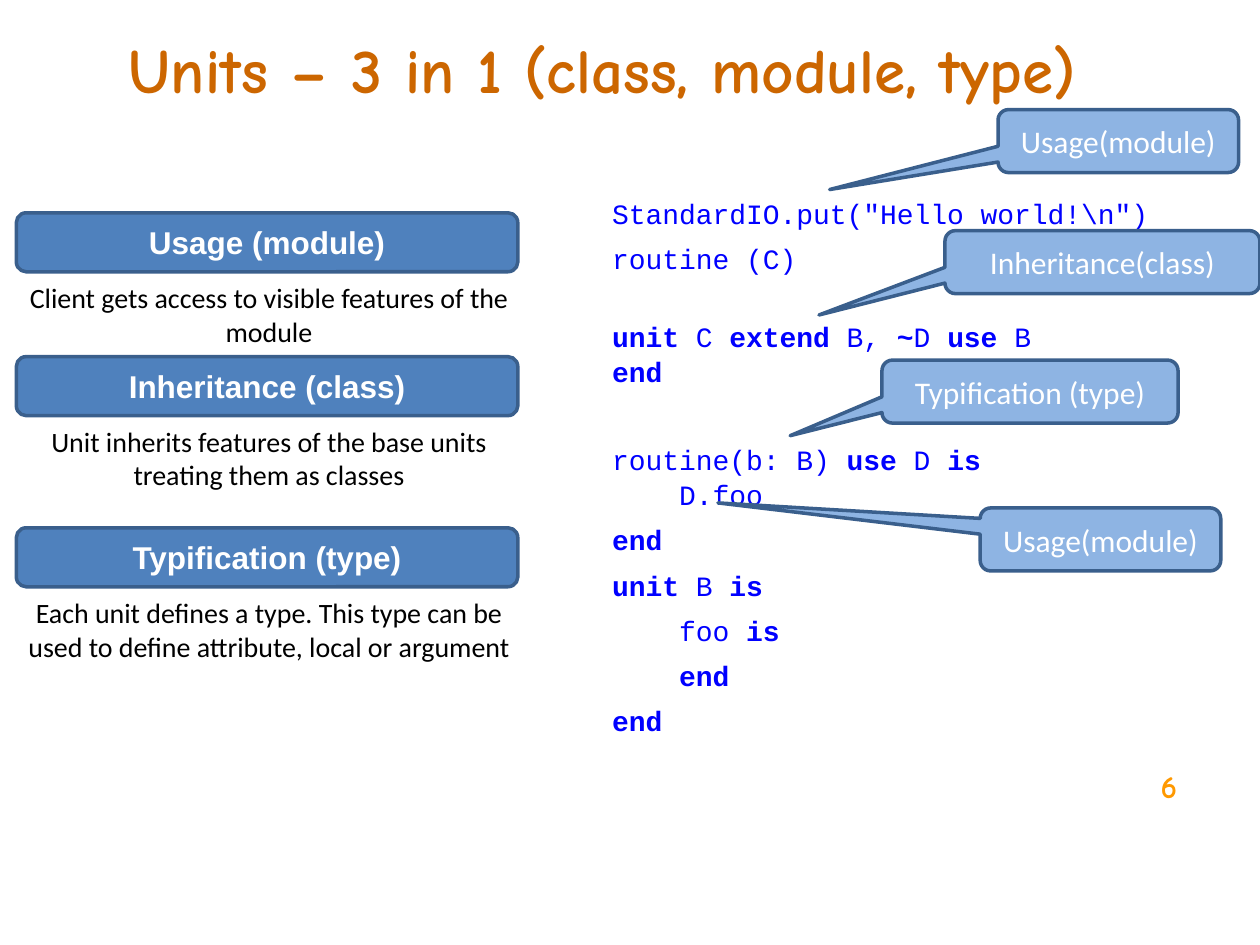
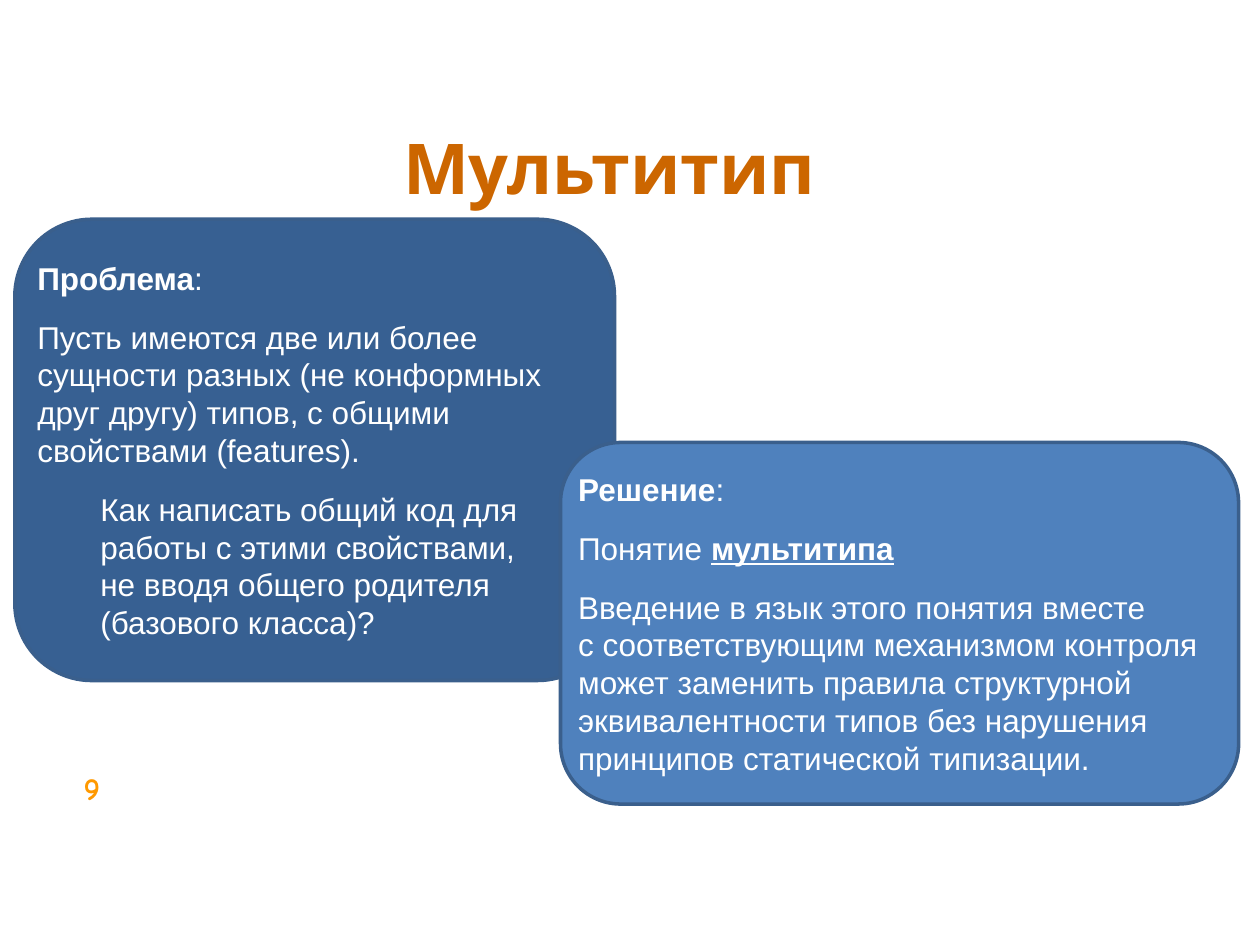
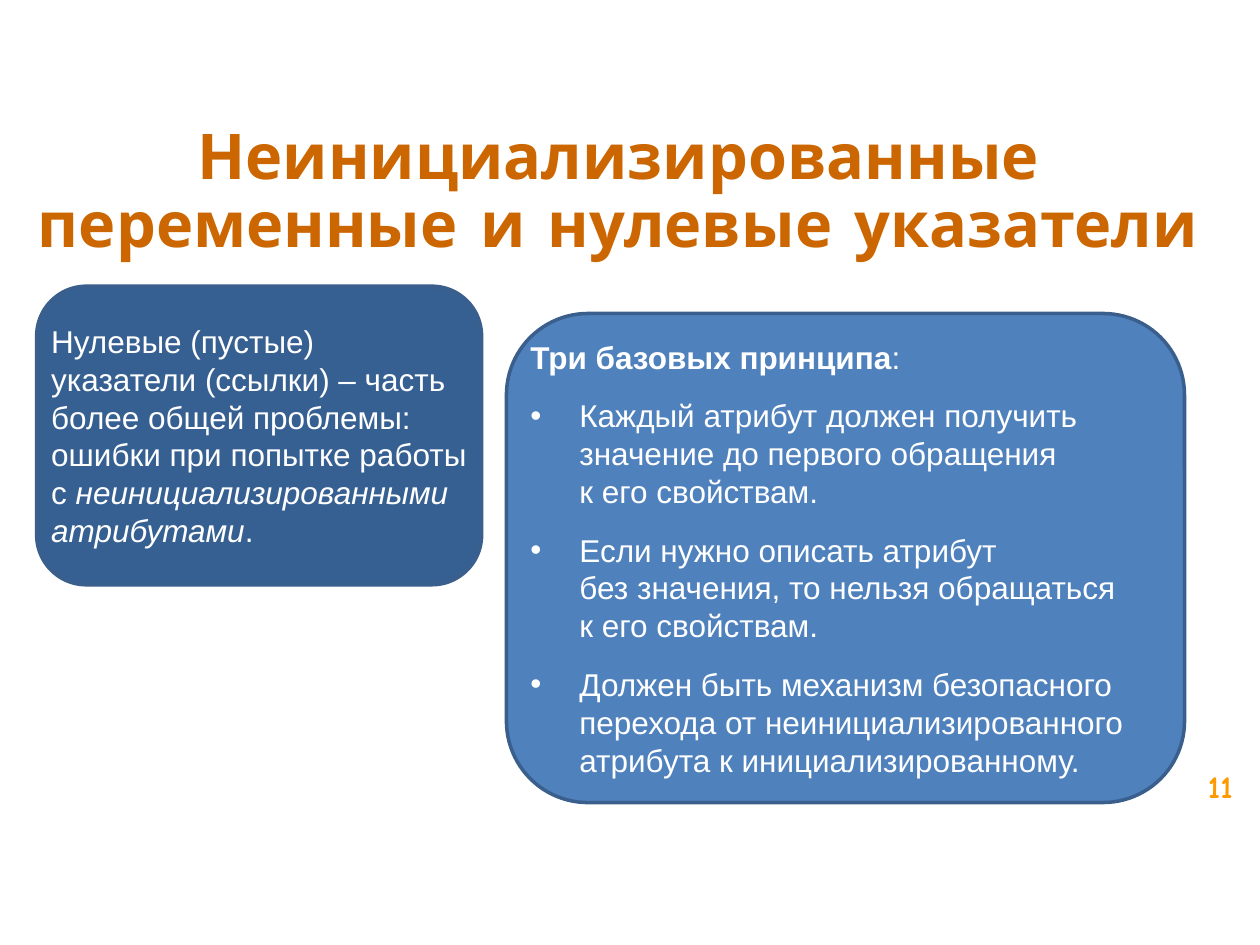
import pptx
import pptx.util
import pptx.dml.color
import pptx.enum.shapes
import pptx.enum.text
import lxml.etree as etree

Cm, Pt = pptx.util.Cm, pptx.util.Pt
KIND = pptx.enum.shapes.MSO_SHAPE
ALIGN = pptx.enum.text.PP_ALIGN
ANCHOR = pptx.enum.text.MSO_ANCHOR
FIT = pptx.enum.text.MSO_AUTO_SIZE

HUES = {
    "title": "CC6600", "page": "FF9900", "code": "0000FF", "ink": "000000",
    "white": "FFFFFF", "blue": "4F81BD", "navy": "376092", "pale": "8EB4E3",
    "edge": "3A5F8C",
}
# Each text style: font size, face, colour, weight
FONTS = {
    "title": dict(size=Pt(36), name="Comic Neue", hue="title", bold=True),
    "page": dict(size=Pt(18), name="Comic Neue", hue="page", bold=True),
    "head": dict(size=Pt(18), name="Arial", hue="white", bold=True),
    "panel": dict(size=Pt(18), name="Arial", hue="white", bold=False),
    "note": dict(size=Pt(16), name="Calibri", hue="ink"),
    "call": dict(size=Pt(18), name="Calibri", hue="white"),
    "code": dict(size=Pt(16), name="Courier New", hue="code", bold=False),
}
MARKS = {"b": "bold", "i": "italic", "u": "underline"}
FLUSH = dict(margin_left=0, margin_right=0)


def shade(name):
    """Return the named colour."""
    return pptx.dml.color.RGBColor.from_string(HUES[name])


def assign(item, values):
    """Set each attribute in values on the item."""
    for name, value in values.items():
        setattr(item, name, value)


def style(run, look):
    """Format a run from a dict of font values."""
    assign(run.font, {k: v for k, v in look.items() if k != "hue"})
    run.font.color.rgb = shade(look["hue"])


def write(para, runs, look):
    """Write a string, or (text, marks) pairs, into a paragraph."""
    for text, marks in [(runs, "")] if isinstance(runs, str) else runs:
        for n, line in enumerate(text.split("\n")):
            if n:
                para.add_line_break()
            run = para.add_run()
            run.text = line
            style(run, {**look, **{MARKS[m]: True for m in marks}})


def fill(frame, paras, font, align=ALIGN.LEFT, **gaps):
    """Fill a frame with paragraphs and return them."""
    frame.word_wrap = True
    made = []
    for n, runs in enumerate(paras):
        para = frame.add_paragraph() if n else frame.paragraphs[0]
        assign(para, dict(alignment=align, **gaps))
        write(para, runs, FONTS[font])
        made.append(para)
    return made


def indent(para, left, first=0, bullet=False):
    """Indent a paragraph, with a bullet if asked."""
    props = para._p.get_or_add_pPr()
    props.set("marL", str(int(Cm(left))))
    props.set("indent", str(int(Cm(first))))
    if bullet:
        space = "{http://schemas.openxmlformats.org/drawingml/2006/main}"
        etree.SubElement(props, space + "buFont").set("typeface", "Arial")
        etree.SubElement(props, space + "buChar").set("char", "•")


def label(slide, box, paras, font, align=ALIGN.CENTER, inset=FLUSH, **gaps):
    """Add a text box and return its paragraphs."""
    frame = slide.shapes.add_textbox(*map(Cm, box)).text_frame
    assign(frame, inset)
    return fill(frame, paras, font, align, **gaps)


def block(slide, box, kind, hue):
    """Add an outlined shape with centred text height."""
    shape = slide.shapes.add_shape(kind, *map(Cm, box))
    shape.shadow.inherit = False
    shape.fill.solid()
    shape.fill.fore_color.rgb = shade(hue)
    shape.line.color.rgb = shade("edge")
    shape.line.width = Pt(2)
    shape.text_frame.vertical_anchor = ANCHOR.MIDDLE
    return shape


def start(deck, text, box, page, spot, size=36, align=ALIGN.LEFT, pitch=1.0, wrap=True):
    """Start a slide with its title and page number."""
    slide = deck.slides.add_slide(deck.slide_layouts[5])
    title = slide.shapes.title
    assign(title, dict(zip(("left", "top", "width", "height"), map(Cm, box))))
    frame = title.text_frame
    para, = fill(frame, [text], "title", align, line_spacing=pitch)
    para.runs[0].font.size = Pt(size)
    assign(frame, dict(vertical_anchor=ANCHOR.TOP, auto_size=FIT.NONE, word_wrap=wrap))
    label(slide, spot, [page], "page", inset={})
    return slide


def panel(slide, box, hue, paras, after=12):
    """Add a rounded panel of left-aligned text."""
    frame = block(slide, box, KIND.ROUNDED_RECTANGLE, hue).text_frame
    assign(frame, FLUSH)
    return fill(frame, paras, "panel", space_after=Pt(after))


def role(slide, box, head, note):
    """Add a heading bar with its explanation below."""
    left, top, width, high = box
    bar = block(slide, (left, top, width, high), KIND.ROUNDED_RECTANGLE, "blue")
    assign(bar.text_frame, FLUSH)
    fill(bar.text_frame, [head], "head", ALIGN.CENTER)
    label(slide, (left, top + 1.24, width + 0.08, 1.63), [note], "note")


def callout(slide, box, text, tip):
    """Add a speech callout whose tip is relative to its box."""
    shape = block(slide, box, KIND.ROUNDED_RECTANGULAR_CALLOUT, "pale")
    for n, value in enumerate((*tip, 0.167)):
        shape.adjustments[n] = value
    fill(shape.text_frame, [text], "call", ALIGN.CENTER)


def listing(slide, box, lines):
    """Add code from (space before, indent steps, runs) lines."""
    paras = label(slide, box, [runs for _, _, runs in lines], "code",
                  ALIGN.LEFT, line_spacing=1.04)
    for para, (gap, step, _) in zip(paras, lines):
        para.space_before = Pt(gap)
        indent(para, 1.35 * step)


def units(deck):
    """Build the slide on the three roles of a unit."""
    slide = start(deck, "Units – 3 in 1 (class, module, type)",
                  (2.34, 0.48, 22.56, 1.63), "6", (22.17, 15.34, 2.79, 1.02))
    roles = [
        (4.29, "Usage (module)",
         "Client gets access to visible features of the module"),
        (7.19, "Inheritance (class)",
         "Unit inherits features of the base units treating them as classes"),
        (10.64, "Typification (type)",
         "Each unit defines a type. This type can be used to define "
         "attribute, local or argument"),
    ]
    for top, head, note in roles:
        role(slide, (0.33, top, 10.11, 1.19), head, note)

    gap, line = 5.8, 18.9
    listing(slide, (12.34, 3.81, 13.06, 10.85), [
        (gap, 0, 'StandardIO.put("Hello world!\\n")'),
        (gap, 0, "routine (C)"),
        (gap + line, 0, [("unit", "b"), (" C ", ""), ("extend", "b"), (" B, ", ""),
                         ("~", "b"), ("D ", ""), ("use", "b"), (" B", "")]),
        (0, 0, [("end", "b")]),
        (2 * gap + line, 0, [("routine(b: B) ", ""), ("use", "b"),
                             (" D ", ""), ("is", "b")]),
        (0, 1, "D.foo"),
        (gap, 0, [("end", "b")]),
        (gap, 0, [("unit ", "b"), ("B", ""), (" is", "b")]),
        (gap, 1, [("foo", ""), (" is", "b")]),
        (gap, 1, [("end", "b")]),
        (gap, 0, [("end", "b")]),
    ])
    calls = [
        (20.12, 2.21, 4.85, "Usage(module)", (-1.2, 0.77)),
        (19.05, 4.65, 6.35, "Inheritance(class)", (-0.9, 0.84)),
        (17.78, 7.26, 5.97, "Typification (type)", (-0.81, 0.7)),
        (19.76, 10.24, 4.85, "Usage(module)", (-1.59, -0.58)),
    ]
    for left, top, width, text, tip in calls:
        callout(slide, (left, top, width, 1.27), text, tip)


def multi(deck):
    """Build the slide on multitypes: problem and solution."""
    slide = start(deck, "Мультитипы", (7.87, 2.39, 9.93, 1.52), "9",
                  (0.46, 15.37, 2.79, 1.02), size=40, wrap=False)
    paras = panel(slide, (0.3, 4.42, 12.09, 9.3), "navy", [
        [("Проблема", "b"), (":", "")],
        "Пусть имеются две или более сущности разных (не конформных "
        "друг другу) типов, с общими свойствами (features).",
        "Как написать общий код для работы с этими свойствами,\n"
        "не вводя общего родителя (базового класса)?",
    ])
    paras[-1].level = 1
    indent(paras[-1], 1.27)
    panel(slide, (11.3, 8.92, 13.67, 7.29), "blue", [
        [("Решение", "b"), (":", "")],
        [("Понятие ", ""), ("мультитипа", "bu")],
        "Введение в язык этого понятия вместе\n"
        "с соответствующим механизмом контроля может заменить правила "
        "структурной эквивалентности типов без нарушения принципов "
        "статической типизации.",
    ])


def nulls(deck):
    """Build the slide on uninitialised variables."""
    slide = start(deck, "Неинициализированные переменные и нулевые указатели",
                  (0.36, 2.39, 24.21, 3.35), "11", (23.8, 15.34, 1.6, 1.02),
                  align=ALIGN.CENTER, pitch=0.9)
    panel(slide, (0.74, 5.77, 8.97, 6.02), "navy", [
        [("Нулевые (пустые) указатели (ссылки) – часть более общей проблемы: "
          "ошибки при попытке работы с ", ""),
         ("неинициализированными атрибутами", "i"), (".", "")],
    ], after=0)
    paras = panel(slide, (10.21, 6.32, 13.67, 9.86), "blue", [
        [("Три базовых принципа", "b"), (":", "")],
        "Каждый атрибут должен получить значение до первого обращения\n"
        "к его свойствам.",
        "Если нужно описать атрибут\nбез значения, то нельзя обращаться\n"
        "к его свойствам.",
        "Должен быть механизм безопасного перехода от "
        "неинициализированного атрибута к инициализированному.",
    ])
    for para in paras[1:]:
        indent(para, 0.99, -0.99, bullet=True)


deck = pptx.Presentation()
deck.slide_width, deck.slide_height = Cm(25.4), Cm(19.05)
for build in (units, multi, nulls):
    build(deck)
deck.save("out.pptx")
